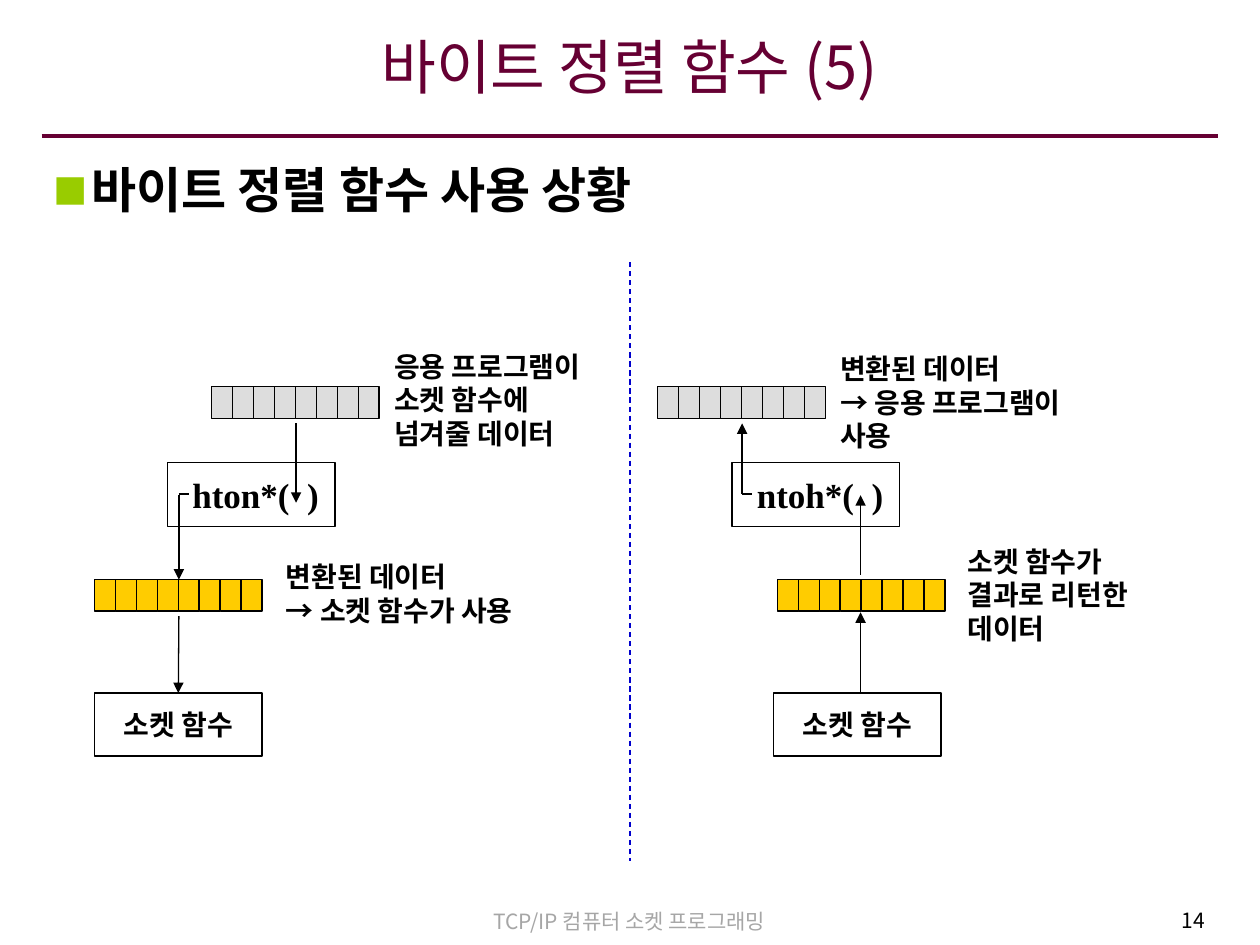
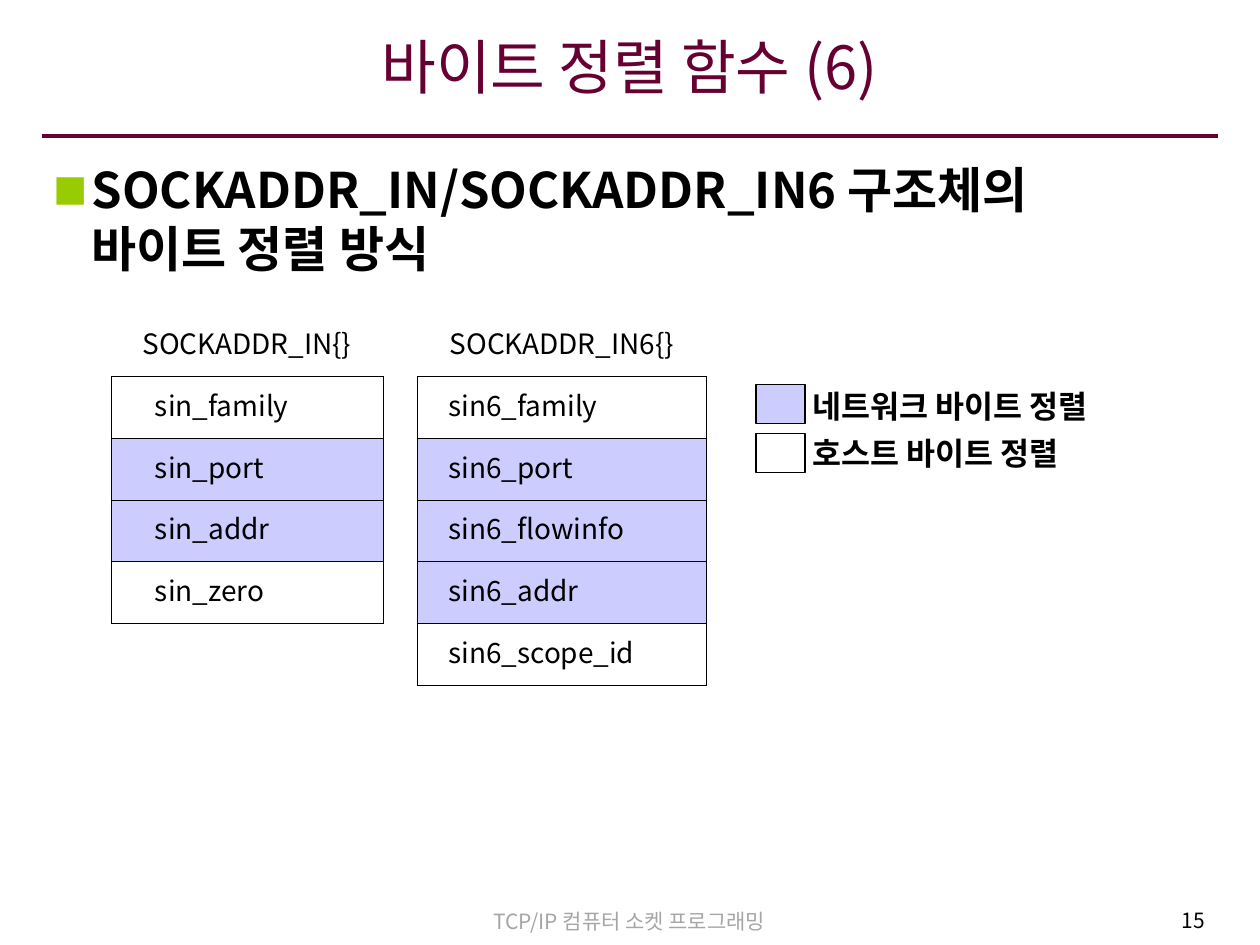
from dataclasses import dataclass
from typing import Optional

from lxml.etree import SubElement
from pptx import Presentation
from pptx.dml.color import RGBColor
from pptx.enum.dml import MSO_LINE
from pptx.enum.shapes import MSO_CONNECTOR, MSO_SHAPE
from pptx.enum.text import MSO_ANCHOR, PP_ALIGN
from pptx.oxml.ns import qn
from pptx.shapes.autoshape import Shape
from pptx.shapes.connector import Connector
from pptx.slide import Slide
from pptx.table import _Cell
from pptx.text.text import TextFrame, _Paragraph
from pptx.util import Inches, Pt

BLACK = RGBColor(0x00, 0x00, 0x00)
WINE = RGBColor(0x66, 0x00, 0x33)
GREEN = RGBColor(0x99, 0xCC, 0x00)
FOOTER_GRAY = RGBColor(0xA6, 0xA6, 0xA6)
DIVIDER_BLUE = RGBColor(0x00, 0x00, 0xCC)
HOST_GRAY = RGBColor(0xDD, 0xDD, 0xDD)
CONVERTED_GOLD = RGBColor(0xFF, 0xCC, 0x00)
NETWORK_LILAC = RGBColor(0xCC, 0xCC, 0xFF)

SANS = "Noto Sans CJK KR"
SERIF = "Times New Roman"
BOX_WIDTH = 1.33
BYTE_COUNT = 8
BYTE_WIDTH = BOX_WIDTH / BYTE_COUNT
BYTE_HEIGHT = 0.25
ROW_HEIGHT = 0.49


@dataclass(frozen=True)
class Frame:
    left: float
    top: float
    width: float
    height: float

    def lengths(self) -> tuple[int, int, int, int]:
        return (Inches(self.left), Inches(self.top),
                Inches(self.width), Inches(self.height))


@dataclass(frozen=True)
class TextStyle:
    size: float
    bold: bool = False
    color: RGBColor = BLACK
    font: str = SANS
    align: PP_ALIGN = PP_ALIGN.LEFT
    leading: float = 1.2


TITLE = TextStyle(34, color=WINE, align=PP_ALIGN.CENTER)
HEADING = TextStyle(28, bold=True)
FOOTER = TextStyle(12, color=FOOTER_GRAY, align=PP_ALIGN.CENTER)
PAGE_NUMBER = TextStyle(12, align=PP_ALIGN.RIGHT)
LABEL = TextStyle(16, bold=True)
BOX_LABEL = TextStyle(16, bold=True, align=PP_ALIGN.CENTER)
FUNCTION = TextStyle(20, bold=True, font=SERIF, align=PP_ALIGN.CENTER)
FIELD = TextStyle(16)
STRUCT_NAME = TextStyle(16, align=PP_ALIGN.CENTER)
LEGEND = TextStyle(18, bold=True, leading=1.5)


@dataclass(frozen=True)
class ByteRow:
    left: float
    top: float
    color: RGBColor


@dataclass(frozen=True)
class Segment:
    x1: float
    y1: float
    x2: float
    y2: float
    arrow: bool = True


@dataclass(frozen=True)
class Caption:
    frame: Frame
    lines: tuple[str, ...]


@dataclass(frozen=True)
class Conversion:
    """One direction of byte-order conversion around a socket call."""
    function: str
    function_left: float
    socket_left: float
    byte_rows: tuple[ByteRow, ...]
    segments: tuple[Segment, ...]
    captions: tuple[Caption, ...]
    socket_link: Segment
    joined: bool


@dataclass(frozen=True)
class Struct:
    name: str
    left: float
    width: float
    indent: float
    fields: tuple[str, ...]
    network_fields: tuple[str, ...]


CONVERSIONS = (
    Conversion(
        " hton*(  )", 1.33, 0.75,
        (ByteRow(0.75, 4.6, CONVERTED_GOLD), ByteRow(1.68, 3.07, HOST_GRAY)),
        (Segment(1.42, 3.93, 1.42, 4.6), Segment(1.42, 3.92, 1.5, 3.92, False),
         Segment(2.35, 3.36, 2.35, 3.99)),
        (Caption(Frame(3.03, 2.92, 1.89, 0.5),
                 ("응용 프로그램이", "소켓 함수에", "넘겨줄 데이터")),
         Caption(Frame(2.17, 4.46, 2.25, 0.5),
                 ("변환된 데이터", "→ 소켓 함수가 사용"))),
        Segment(1.42, 4.89, 1.42, 5.5), True),
    Conversion(
        " ntoh*(  )", 5.81, 6.14,
        (ByteRow(5.22, 3.07, HOST_GRAY), ByteRow(6.17, 4.6, CONVERTED_GOLD)),
        (Segment(5.89, 3.92, 5.89, 3.36), Segment(5.89, 3.92, 5.97, 3.92, False),
         Segment(6.83, 4.56, 6.83, 3.93)),
        (Caption(Frame(6.57, 2.94, 2.25, 0.5),
                 ("변환된 데이터", "→ 응용 프로그램이 사용")),
         Caption(Frame(7.58, 4.47, 1.58, 0.5),
                 ("소켓 함수가", "결과로 리턴한", "데이터"))),
        Segment(6.83, 5.5, 6.83, 4.86), False),
)

STRUCTS = (
    Struct("SOCKADDR_IN6{}", 3.31, 2.3, 0.25,
           ("sin6_family", "sin6_port", "sin6_flowinfo", "sin6_addr", "sin6_scope_id"),
           ("sin6_port", "sin6_flowinfo", "sin6_addr")),
    Struct("SOCKADDR_IN{}", 0.88, 2.16, 0.35,
           ("sin_family", "sin_port", "sin_addr", "sin_zero"),
           ("sin_port", "sin_addr")),
)


def add_run(paragraph: _Paragraph, text: str, style: TextStyle) -> None:
    run = paragraph.add_run()
    run.text = text
    run.font.size = Pt(style.size)
    run.font.bold = style.bold
    run.font.name = style.font
    run.font.color.rgb = style.color
    SubElement(run.font._element, qn("a:ea"), typeface=style.font)


def write_lines(frame: TextFrame, lines: tuple[str, ...], style: TextStyle) -> None:
    for index, line in enumerate(lines):
        paragraph = frame.add_paragraph() if index else frame.paragraphs[0]
        paragraph.alignment = style.align
        paragraph.line_spacing = Pt(style.size * style.leading)
        add_run(paragraph, line, style)


def add_text(slide: Slide, frame: Frame, lines: tuple[str, ...], style: TextStyle,
             anchor: MSO_ANCHOR = MSO_ANCHOR.MIDDLE, wrap: bool = False) -> TextFrame:
    text = slide.shapes.add_textbox(*frame.lengths()).text_frame
    text.word_wrap = wrap
    text.vertical_anchor = anchor
    write_lines(text, lines, style)
    return text


def add_box(slide: Slide, frame: Frame, color: Optional[RGBColor] = None) -> Shape:
    box = slide.shapes.add_shape(MSO_SHAPE.RECTANGLE, *frame.lengths())
    box.shadow.inherit = False
    if color is None:
        box.fill.background()
    else:
        box.fill.solid()
        box.fill.fore_color.rgb = color
    box.line.color.rgb = BLACK
    box.line.width = Pt(0.75)
    return box


def add_labelled_box(slide: Slide, frame: Frame, label: str, style: TextStyle) -> Shape:
    box = add_box(slide, frame)
    box.text_frame.word_wrap = False
    box.text_frame.vertical_anchor = MSO_ANCHOR.MIDDLE
    write_lines(box.text_frame, (label,), style)
    return box


def add_line(slide: Slide, segment: Segment, color: RGBColor = BLACK,
             width: float = 0.75, dash: Optional[MSO_LINE] = None) -> Connector:
    line = slide.shapes.add_connector(
        MSO_CONNECTOR.STRAIGHT, Inches(segment.x1), Inches(segment.y1),
        Inches(segment.x2), Inches(segment.y2))
    line.line.color.rgb = color
    line.line.width = Pt(width)
    if dash is not None:
        line.line.dash_style = dash
    properties = line._element.spPr
    if segment.arrow:
        SubElement(properties.find(qn("a:ln")), qn("a:tailEnd"), type="triangle")
    SubElement(properties, qn("a:effectLst"))
    return line


def add_heading(slide: Slide, lines: tuple[str, ...]) -> None:
    """Write a square-bulleted heading whose lines share one paragraph."""
    text = add_text(slide, Frame(0.33, 1.22, 9.33, 5.86), lines[:1], HEADING,
                    MSO_ANCHOR.TOP, wrap=True)
    paragraph = text.paragraphs[0]
    for line in lines[1:]:
        paragraph.add_line_break()
        add_run(paragraph, line, HEADING)
    properties = paragraph._p.get_or_add_pPr()
    properties.set("marL", str(Inches(0.3)))
    properties.set("indent", str(-Inches(0.3)))
    bullet_color = SubElement(properties, qn("a:buClr"))
    SubElement(bullet_color, qn("a:srgbClr"), val=str(GREEN))
    SubElement(properties, qn("a:buSzPct"), val="70000")
    SubElement(properties, qn("a:buFont"), typeface=SANS)
    SubElement(properties, qn("a:buChar"), char="■")


def add_base_slide(deck: Presentation, part: int, page: int,
                   heading: tuple[str, ...]) -> Slide:
    slide = deck.slides.add_slide(deck.slide_layouts[6])
    add_line(slide, Segment(0.33, 1.08, 9.67, 1.08, False), WINE, 2.25)
    add_text(slide, Frame(2.87, 7.16, 4.25, 0.3), ("TCP/IP 컴퓨터 소켓 프로그래밍",),
             FOOTER, MSO_ANCHOR.TOP, wrap=True)
    add_text(slide, Frame(7.54, 7.15, 2.12, 0.33), (str(page),),
             PAGE_NUMBER, MSO_ANCHOR.TOP, wrap=True)
    title = add_text(slide, Frame(0.33, 0.15, 9.33, 0.85),
                     (f"바이트 정렬 함수 ({part})",), TITLE, wrap=True)
    title.margin_bottom = Inches(0.16)
    add_heading(slide, heading)
    return slide


def add_conversion(slide: Slide, conversion: Conversion) -> None:
    socket = add_labelled_box(slide, Frame(conversion.socket_left, 5.5, BOX_WIDTH, 0.5),
                              "소켓 함수", BOX_LABEL)
    add_labelled_box(slide, Frame(conversion.function_left, 3.67, BOX_WIDTH, 0.51),
                     conversion.function, FUNCTION)
    for row in conversion.byte_rows:
        for index in range(BYTE_COUNT):
            add_box(slide, Frame(row.left + index * BYTE_WIDTH, row.top,
                                 BYTE_WIDTH, BYTE_HEIGHT), row.color)
    for segment in conversion.segments:
        add_line(slide, segment)
    link = add_line(slide, conversion.socket_link)
    if conversion.joined:
        link.end_connect(socket, 0)
    for caption in conversion.captions:
        add_text(slide, caption.frame, caption.lines, LABEL)


def add_borders(cell: _Cell, sides: str) -> None:
    properties = cell._tc.get_or_add_tcPr()
    for side in sides:
        border = SubElement(properties, qn(f"a:ln{side}"), w=str(Pt(0.45)))
        fill = SubElement(border, qn("a:solidFill"))
        SubElement(fill, qn("a:srgbClr"), val=str(BLACK))


def add_struct(slide: Slide, struct: Struct) -> None:
    rows = (struct.name,) + struct.fields
    frame = Frame(struct.left, 2.5, struct.width, ROW_HEIGHT * len(rows))
    table = slide.shapes.add_table(len(rows), 1, *frame.lengths()).table
    table.first_row = table.horz_banding = False
    style_id = table._tbl.tblPr.find(qn("a:tableStyleId"))
    style_id.text = "{2D5ABB26-0587-4C30-8999-92F81FD0307C}"
    for index, name in enumerate(rows):
        table.rows[index].height = Inches(ROW_HEIGHT)
        cell = table.cell(index, 0)
        cell.vertical_anchor = MSO_ANCHOR.MIDDLE
        add_borders(cell, "LRTB" if index else "B")
        if name in struct.network_fields:
            cell.fill.solid()
            cell.fill.fore_color.rgb = NETWORK_LILAC
        else:
            cell.fill.background()
        if index:
            cell.margin_left = Inches(struct.indent)
        write_lines(cell.text_frame, (name,), FIELD if index else STRUCT_NAME)


def main() -> None:
    deck = Presentation()
    deck.slide_width, deck.slide_height = Inches(10), Inches(7.5)

    usage = add_base_slide(deck, 5, 14, ("바이트 정렬 함수 사용 상황",))
    add_line(usage, Segment(5, 2.08, 5, 6.83, False), DIVIDER_BLUE, dash=MSO_LINE.DASH)
    for conversion in CONVERSIONS:
        add_conversion(usage, conversion)

    layout = add_base_slide(deck, 6, 15, ("SOCKADDR_IN/SOCKADDR_IN6 구조체의",
                                          "바이트 정렬 방식"))
    for struct in STRUCTS:
        add_struct(layout, struct)
    add_text(layout, Frame(6.35, 2.98, 2.57, 0.78),
             ("네트워크 바이트 정렬", "호스트 바이트 정렬"), LEGEND)
    for index, color in enumerate((NETWORK_LILAC, None)):
        add_box(layout, Frame(6, 3.05 + 0.39 * index, 0.39, 0.31), color)

    deck.save("out.pptx")


if __name__ == "__main__":
    main()
